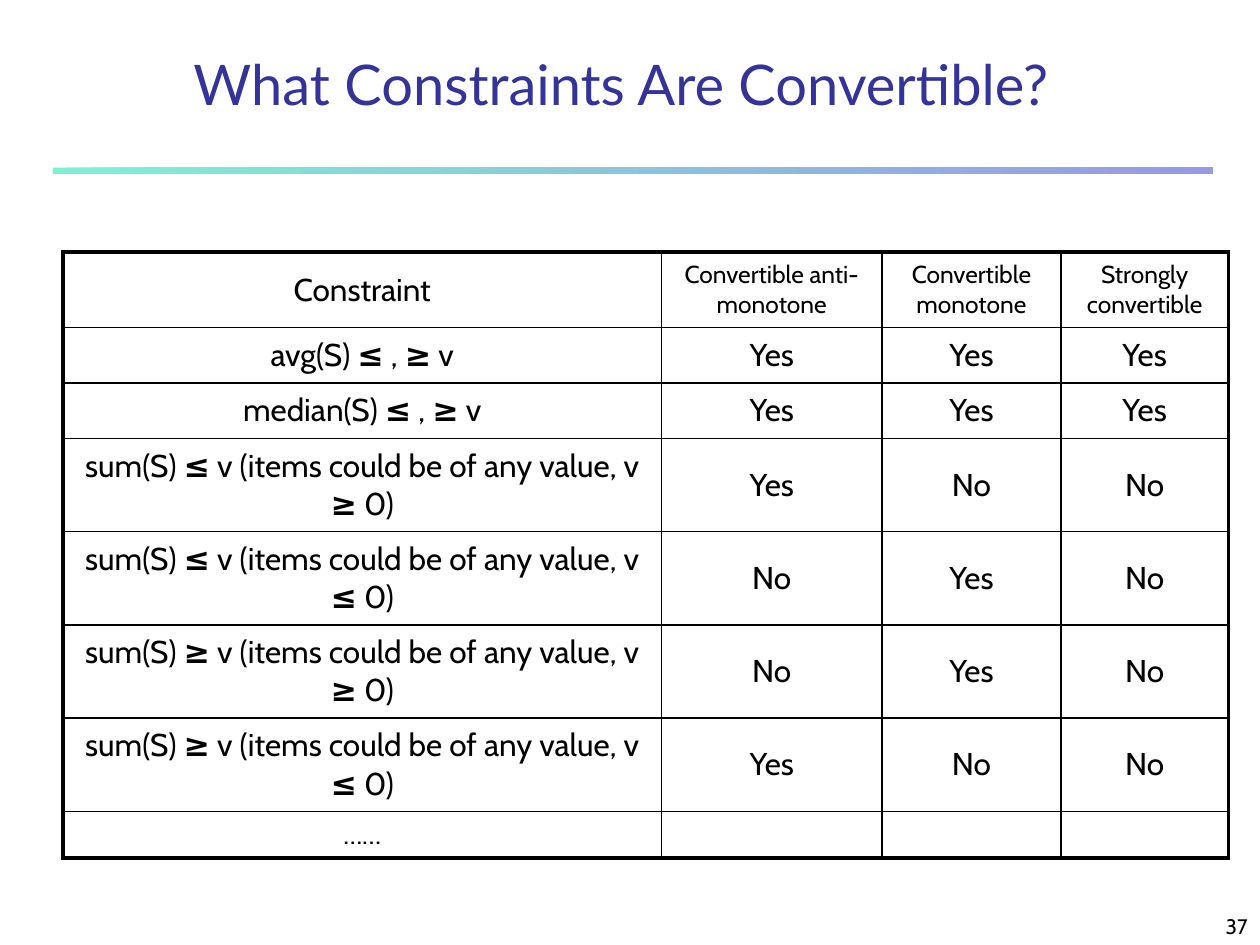
from itertools import groupby

from lxml import etree
from pptx import Presentation
from pptx.dml.color import RGBColor
from pptx.enum.shapes import MSO_SHAPE
from pptx.enum.text import MSO_ANCHOR, PP_ALIGN
from pptx.oxml.ns import qn
from pptx.util import Inches, Pt

RECTANGLE = MSO_SHAPE.RECTANGLE
MIDDLE, BOTTOM = MSO_ANCHOR.MIDDLE, MSO_ANCHOR.BOTTOM
CENTER, RIGHT = PP_ALIGN.CENTER, PP_ALIGN.RIGHT

COLORS = {"title": "333399", "text": "000000", "border": "000000",
          "rule_start": "00E4A8", "rule_end": "3333CC"}
SIGNS = "≤≥"
COLUMN_WIDTHS = [4.75, 1.75, 1.42, 1.33]
ROWS = [
    (0.6, ["Constraint", "Convertible anti-monotone", "Convertible monotone", "Strongly convertible"]),
    (0.44, ["avg(S) ≤ , ≥ v", "Yes", "Yes", "Yes"]),
    (0.44, ["median(S) ≤ , ≥ v", "Yes", "Yes", "Yes"]),
    (0.74, ["sum(S) ≤ v (items could be of any value, v ≥ 0)", "Yes", "No", "No"]),
    (0.74, ["sum(S) ≤ v (items could be of any value, v ≤ 0)", "No", "Yes", "No"]),
    (0.74, ["sum(S) ≥ v (items could be of any value, v ≥ 0)", "No", "Yes", "No"]),
    (0.74, ["sum(S) ≥ v (items could be of any value, v ≤ 0)", "Yes", "No", "No"]),
    (0.37, ["……", "", "", ""]),
]


def format_paragraph(para, font_name, size, color, alignment):
    para.alignment = alignment
    para.font.name = font_name
    para.font.size = Pt(size)
    para.font.color.rgb = RGBColor.from_string(COLORS[color])


def set_borders(cell, outer_sides):
    properties = cell._tc.get_or_add_tcPr()
    for position, side in enumerate("LRTB"):
        width = Pt(2.25) if side in outer_sides else Pt(1)
        line = etree.Element(qn(f"a:ln{side}"), w=str(int(width)))
        fill = etree.SubElement(line, qn("a:solidFill"))
        etree.SubElement(fill, qn("a:srgbClr"), val=COLORS["border"])
        properties.insert(position, line)


deck = Presentation()
deck.slide_width, deck.slide_height = Inches(10), Inches(7.5)
page = deck.slides.add_slide(deck.slide_layouts[5])

rule = page.shapes.add_shape(RECTANGLE, Inches(0.42), Inches(1.33), Inches(9.2), Inches(0.05))
rule.shadow.inherit = False
rule.line.fill.background()
rule.fill.gradient()
rule.fill.gradient_angle = 0
for stop, color in zip(rule.fill.gradient_stops, ["rule_start", "rule_end"]):
    stop.color.rgb = RGBColor.from_string(COLORS[color])
for color_element in rule._element.iter(qn("a:srgbClr")):
    etree.SubElement(color_element, qn("a:alpha"), val="50000")

title = page.shapes.title
title.left, title.top = Inches(0.92), Inches(0.33)
title.width, title.height = Inches(8.02), Inches(0.65)
title.text_frame.text = "What Constraints Are Convertible?"
title.text_frame.vertical_anchor = BOTTOM
format_paragraph(title.text_frame.paragraphs[0], "Lato", 32, "title", CENTER)

number_box = page.shapes.add_textbox(Inches(7.92), Inches(7.08), Inches(2.08), Inches(0.42))
number_box.text_frame.word_wrap = True
number_box.text_frame.vertical_anchor = BOTTOM
number_box.text_frame.text = "37"
format_paragraph(number_box.text_frame.paragraphs[0], "Cabin", 12, "text", RIGHT)

table = page.shapes.add_table(
    len(ROWS), len(COLUMN_WIDTHS), Inches(0.5), Inches(2),
    Inches(sum(COLUMN_WIDTHS)), Inches(sum(height for height, texts in ROWS))).table
table.first_row = table.horz_banding = False
for column, width in zip(table.columns, COLUMN_WIDTHS):
    column.width = Inches(width)

last_row, last_column = len(ROWS) - 1, len(COLUMN_WIDTHS) - 1
for row_index, (height, texts) in enumerate(ROWS):
    table.rows[row_index].height = Inches(height)
    for column_index, text in enumerate(texts):
        cell = table.cell(row_index, column_index)
        cell.fill.background()
        cell.vertical_anchor = MIDDLE
        if not text:
            cell.margin_top = cell.margin_bottom = 0
        size = 18
        if row_index == 0 and column_index > 0:
            size = 14
        elif row_index == last_row:
            size = 16
        para = cell.text_frame.paragraphs[0]
        format_paragraph(para, "Cabin", size, "text", CENTER)
        for is_sign, letters in groupby(text, key=lambda letter: letter in SIGNS):
            span = para.add_run()
            span.text = "".join(letters)
            if is_sign:
                span.font.bold = True
        edges = {"L": column_index == 0, "R": column_index == last_column,
                 "T": row_index == 0, "B": row_index == last_row}
        set_borders(cell, [side for side, is_outer in edges.items() if is_outer])

deck.save("out.pptx")
